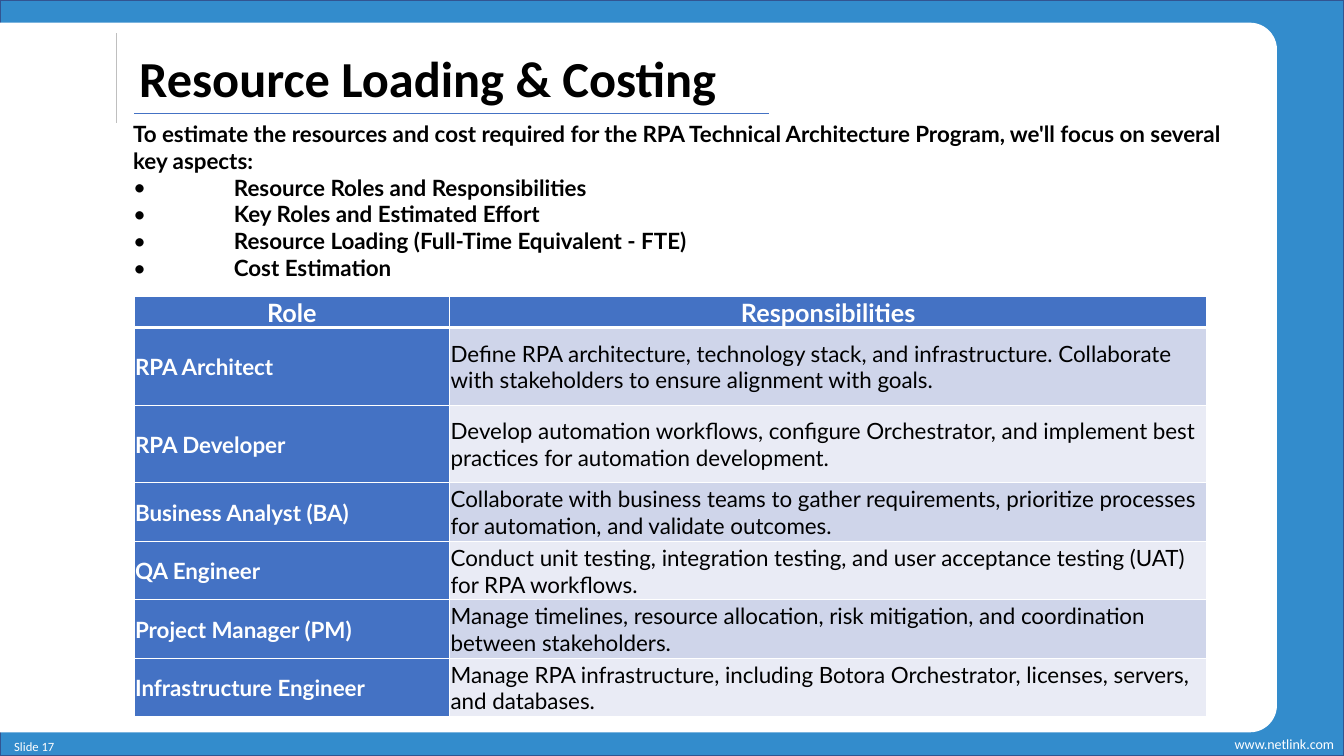
from dataclasses import dataclass

from lxml import etree
from pptx import Presentation
from pptx.dml.color import RGBColor
from pptx.enum.shapes import MSO_CONNECTOR, MSO_SHAPE
from pptx.enum.text import MSO_ANCHOR, MSO_AUTO_SIZE, PP_ALIGN
from pptx.oxml.ns import qn
from pptx.util import Inches, Pt

STRAIGHT = MSO_CONNECTOR.STRAIGHT
RECTANGLE = MSO_SHAPE.RECTANGLE
ROUNDED_TOP = MSO_SHAPE.ROUND_2_SAME_RECTANGLE
TOP, MIDDLE = MSO_ANCHOR.TOP, MSO_ANCHOR.MIDDLE
LEFT, CENTER, RIGHT = PP_ALIGN.LEFT, PP_ALIGN.CENTER, PP_ALIGN.RIGHT
NO_AUTOFIT = MSO_AUTO_SIZE.NONE


@dataclass(frozen=True)
class Theme:
    heading_font: str = "Calibri"
    body_font: str = "Lato"
    title_size: float = 36
    header_size: float = 18
    body_size: float = 16
    address_size: float = 10
    number_size: float = 9
    black: str = "000000"
    white: str = "FFFFFF"
    frame: str = "0070C0"
    frame_line: str = "325491"
    accent: str = "4472C4"
    divider: str = "BFBFBF"
    bands: tuple = ("CFD5EA", "E9EBF5")


TITLE = "Resource Loading & Costing"
INTRO = ("To estimate the resources and cost required for the RPA Technical "
         "Architecture Program, we'll focus on several key aspects:")
ASPECTS = [
    "Resource Roles and Responsibilities",
    "Key Roles and Estimated Effort",
    "Resource Loading (Full-Time Equivalent - FTE)",
    "Cost Estimation",
]
HEADERS = ("Role", "Responsibilities")
ROLES = [
    ("RPA Architect", "Define RPA architecture, technology stack, and infrastructure. "
                      "Collaborate with stakeholders to ensure alignment with goals."),
    ("RPA Developer", "Develop automation workflows, configure Orchestrator, and implement "
                      "best practices for automation development."),
    ("Business Analyst (BA)", "Collaborate with business teams to gather requirements, "
                              "prioritize processes for automation, and validate outcomes."),
    ("QA Engineer", "Conduct unit testing, integration testing, and user acceptance "
                    "testing (UAT) for RPA workflows."),
    ("Project Manager (PM)", "Manage timelines, resource allocation, risk mitigation, and "
                             "coordination between stakeholders."),
    ("Infrastructure Engineer", "Manage RPA infrastructure, including Botora Orchestrator, "
                                "licenses, servers, and databases."),
]
COLUMN_WIDTHS = (3.13, 7.51)
ROW_HEIGHTS = (0.25, 0.77, 0.77, 0.58, 0.58, 0.58, 0.58)


class SlideBuilder:
    def __init__(self, page, theme):
        self.page = page
        self.theme = theme

    def style_text(self, para, font, size, color, bold=False, align=LEFT):
        para.alignment = align
        for span in para.runs:
            span.font.name = font
            span.font.size = Pt(size)
            span.font.bold = bold
            span.font.color.rgb = RGBColor.from_string(color)

    def shape(self, kind, left, top, width, height, fill, line=None):
        shape = self.page.shapes.add_shape(
            kind, Inches(left), Inches(top), Inches(width), Inches(height))
        shape.shadow.inherit = False
        shape.fill.solid()
        shape.fill.fore_color.rgb = RGBColor.from_string(fill)
        if line:
            shape.line.color.rgb = RGBColor.from_string(line)
            shape.line.width = Pt(1)
        else:
            shape.line.fill.background()
        return shape

    def frame(self):
        """Blue slide frame around a white panel with rounded right corners."""
        border = self.shape(RECTANGLE, 0, 0, 13.33, 7.5,
                            self.theme.frame, self.theme.frame_line)
        color = border.element.spPr.find(qn("a:solidFill"))[0]
        etree.SubElement(color, qn("a:alpha"), val="80000")
        panel = self.shape(ROUNDED_TOP, 2.81, -2.59, 7.04, 12.67, self.theme.white)
        panel.adjustments[0] = 0.038
        panel.adjustments[1] = 0
        panel.rotation = 90

    def line(self, start, end, color):
        connector = self.page.shapes.add_connector(
            STRAIGHT, *(Inches(value) for value in start + end))
        connector.line.color.rgb = RGBColor.from_string(color)
        connector.line.width = Pt(0.5)
        etree.SubElement(connector.element.spPr, qn("a:effectLst"))

    def footer(self, text, left, top, width, height, size, align, anchor):
        box = self.page.shapes.add_textbox(
            Inches(left), Inches(top), Inches(width), Inches(height))
        frame = box.text_frame
        frame.word_wrap = True
        frame.vertical_anchor = anchor
        if align == CENTER:
            frame.margin_left = frame.margin_right = 0
        frame.text = text
        self.style_text(frame.paragraphs[0], self.theme.heading_font, size,
                        self.theme.white, align=align)

    def place(self, holder, left, top, width, height, anchor, inset_x, inset_y):
        """Moves a placeholder to its box and in front of the slide frame."""
        holder.left, holder.top = Inches(left), Inches(top)
        holder.width, holder.height = Inches(width), Inches(height)
        holder.element.getparent().append(holder.element)
        frame = holder.text_frame
        frame.word_wrap = True
        frame.auto_size = NO_AUTOFIT
        frame.vertical_anchor = anchor
        frame.margin_left = frame.margin_right = Inches(inset_x)
        frame.margin_top = frame.margin_bottom = Inches(inset_y)
        return frame

    def title(self, text):
        frame = self.place(self.page.shapes.title, 1.28, 0.41, 11.24, 0.71, MIDDLE, 0.1, 0.05)
        frame.text = text
        self.style_text(frame.paragraphs[0], self.theme.heading_font,
                        self.theme.title_size, self.theme.black, bold=True)

    def bulleted_list(self, intro, items):
        frame = self.place(self.page.placeholders[1], 1.19, 1.12, 11.33, 1.75, TOP, 0.13, 0.07)
        frame.text = "\n".join([intro, *items])
        for index, para in enumerate(frame.paragraphs):
            para.space_before = para.space_after = Pt(0)
            para.line_spacing = 1.0
            properties = para._p.get_or_add_pPr()
            indent = Inches(1) if index else 0
            properties.set("marL", str(indent))
            properties.set("indent", str(-indent))
            if index:
                etree.SubElement(properties, qn("a:buFont"), typeface=self.theme.body_font)
                etree.SubElement(properties, qn("a:buChar"), char="•")
            else:
                etree.SubElement(properties, qn("a:buNone"))
            self.style_text(para, self.theme.body_font, self.theme.body_size,
                            self.theme.black, bold=True)

    def cell_borders(self, cell, top, bottom):
        properties = cell._tc.get_or_add_tcPr()
        for side, width in (("L", 1), ("R", 1), ("T", top), ("B", bottom)):
            border = etree.SubElement(properties, qn(f"a:ln{side}"), w=str(Pt(width)))
            fill = etree.SubElement(border, qn("a:solidFill"))
            etree.SubElement(fill, qn("a:srgbClr"), val=self.theme.white)

    def table(self, rows, left, top, widths, heights):
        theme = self.theme
        table = self.page.shapes.add_table(
            len(rows), len(widths), Inches(left), Inches(top),
            Inches(sum(widths)), Inches(sum(heights))).table
        for column, width in zip(table.columns, widths):
            column.width = Inches(width)
        for row_index, texts in enumerate(rows):
            table.rows[row_index].height = Inches(heights[row_index])
            is_header = row_index == 0
            for column_index, text in enumerate(texts):
                cell = table.cell(row_index, column_index)
                is_label = is_header or column_index == 0
                self.cell_borders(cell, top=3 if row_index == 1 else 1,
                                  bottom=3 if is_header else 1)
                cell.fill.solid()
                cell.fill.fore_color.rgb = RGBColor.from_string(
                    theme.accent if is_label else theme.bands[(row_index - 1) % 2])
                cell.vertical_anchor = MIDDLE
                cell.margin_left = cell.margin_right = cell.margin_top = Inches(0.01)
                cell.margin_bottom = 0
                cell.text_frame.text = text
                self.style_text(cell.text_frame.paragraphs[0], theme.body_font,
                                theme.header_size if is_header else theme.body_size,
                                theme.white if is_label else theme.black,
                                bold=is_label, align=CENTER if is_header else LEFT)


def main():
    deck = Presentation()
    deck.slide_width, deck.slide_height = Inches(13.33), Inches(7.5)
    theme = Theme()
    builder = SlideBuilder(deck.slides.add_slide(deck.slide_layouts[1]), theme)
    builder.frame()
    builder.footer("www.netlink.com", 9.11, 7.27, 4.22, 0.23,
                   theme.address_size, RIGHT, MIDDLE)
    builder.footer("Slide 17", -0.01, 7.28, 0.7, 0.22, theme.number_size, CENTER, TOP)
    builder.line((1.15, 0.33), (1.15, 1.22), theme.divider)
    builder.title(TITLE)
    builder.line((1.33, 1.12), (7.63, 1.12), theme.accent)
    builder.bulleted_list(INTRO, ASPECTS)
    builder.table([HEADERS, *ROLES], 1.33, 2.94, COLUMN_WIDTHS, ROW_HEIGHTS)
    deck.save("out.pptx")


if __name__ == "__main__":
    main()
